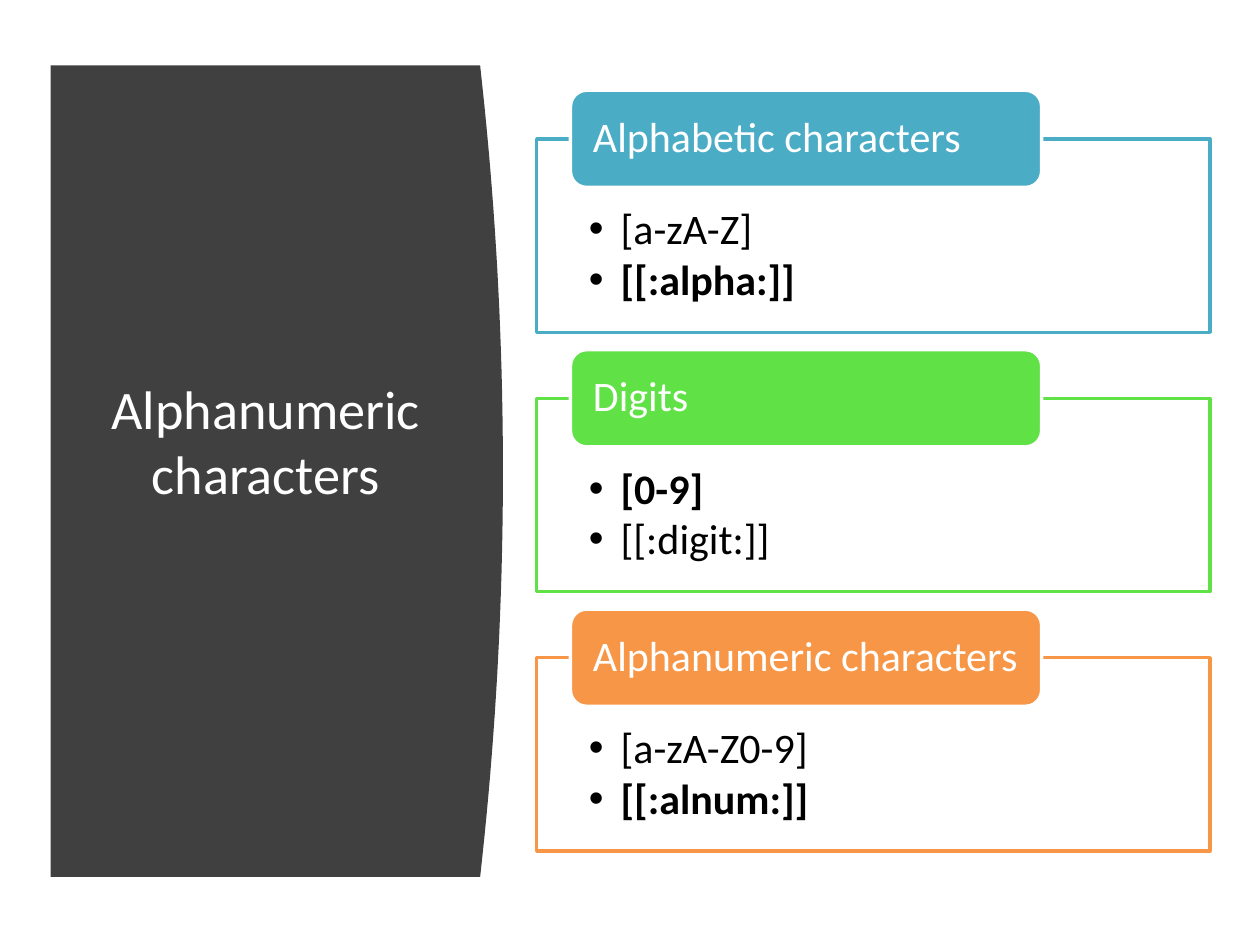
"""Build a slide listing character classes for letters, digits and both."""
import pptx
import pptx.dml.color
import pptx.enum.shapes
import pptx.enum.text
import pptx.oxml
import pptx.oxml.ns
import pptx.util
from pptx.util import Cm

COLORS = {
    "charcoal": "404040",
    "white": "FFFFFF",
    "black": "000000",
    "teal": "4BACC6",
    "green": "60E146",
    "orange": "F79646",
}


def paint(shape, fill, line=None):
    shape.shadow.inherit = False
    shape.fill.solid()
    shape.fill.fore_color.rgb = pptx.dml.color.RGBColor.from_string(COLORS[fill])
    if line is None:
        shape.line.fill.background()
    else:
        shape.line.color.rgb = pptx.dml.color.RGBColor.from_string(COLORS[line])
        shape.line.width = pptx.util.Pt(2)


def write(paragraph, text, size=24, color="white", bold=False, align="LEFT",
          bullet=False, line_spacing=0.9, space_after=0):
    paragraph.alignment = getattr(pptx.enum.text.PP_ALIGN, align)
    paragraph.line_spacing = line_spacing
    paragraph.space_after = pptx.util.Pt(space_after)
    if bullet:
        properties = paragraph._p.get_or_add_pPr()
        properties.set("marL", str(Cm(0.64)))
        properties.set("indent", str(-Cm(0.64)))
        namespace = pptx.oxml.ns.nsdecls("a")
        properties.append(pptx.oxml.parse_xml(f'<a:buFont {namespace} typeface="Arial"/>'))
        properties.append(pptx.oxml.parse_xml(f'<a:buChar {namespace} char="•"/>'))
    run = paragraph.add_run()
    run.text = text
    run.font.name = "Calibri"
    run.font.size = pptx.util.Pt(size)
    run.font.bold = bold
    run.font.color.rgb = pptx.dml.color.RGBColor.from_string(COLORS[color])


presentation = pptx.Presentation()
presentation.slide_width = Cm(25.4)
presentation.slide_height = Cm(19.05)
slide = presentation.slides.add_slide(presentation.slide_layouts[6])

left, edge, bulge = 1.02, 9.68, 0.46
middle, half_height, steps = 9.5, 8.18, 20
curve = []
for step in range(-steps, steps + 1):
    position = step / steps
    curve.append((Cm(edge + bulge * (1 - position ** 2)),
                  Cm(middle + half_height * position)))
builder = slide.shapes.build_freeform(Cm(left), Cm(middle - half_height))
builder.add_line_segments(curve + [(Cm(left), Cm(middle + half_height))], close=True)
paint(builder.convert_to_shape(), "charcoal")

title = slide.shapes.add_textbox(Cm(1.8), Cm(2.22), Cm(7.11), Cm(13.31))
title.text_frame.word_wrap = True
title.text_frame.vertical_anchor = pptx.enum.text.MSO_ANCHOR.MIDDLE
write(title.text_frame.paragraphs[0], "Alphanumeric characters",
      size=31, align="CENTER", line_spacing=1.0)

panels = [
    ("Alphabetic characters", "teal", [("[a-zA-Z]", False), ("[[:alpha:]]", True)]),
    ("Digits", "green", [("[0-9]", True), ("[[:digit:]]", False)]),
    ("Alphanumeric characters", "orange", [("[a-zA-Z0-9]", False), ("[[:alnum:]]", True)]),
]
first_top, pitch = 2.8, 5.23
for index, (heading, color, patterns) in enumerate(panels):
    top = first_top + index * pitch

    panel = slide.shapes.add_shape(
        pptx.enum.shapes.MSO_SHAPE.RECTANGLE, Cm(10.82), Cm(top), Cm(13.57), Cm(3.9))
    paint(panel, "white", color)
    frame = panel.text_frame
    frame.word_wrap = True
    frame.vertical_anchor = pptx.enum.text.MSO_ANCHOR.TOP
    frame.margin_left = frame.margin_right = Cm(1.05)
    frame.margin_top, frame.margin_bottom = Cm(1.4), Cm(0.48)
    for row, (pattern, bold) in enumerate(patterns):
        paragraph = frame.add_paragraph() if row else frame.paragraphs[0]
        write(paragraph, pattern, color="black", bold=bold, bullet=True, space_after=3)

    label = slide.shapes.add_shape(
        pptx.enum.shapes.MSO_SHAPE.ROUNDED_RECTANGLE,
        Cm(11.5), Cm(top - 0.98), Cm(9.5), Cm(1.96))
    paint(label, color, "white")
    frame = label.text_frame
    frame.word_wrap = True
    frame.vertical_anchor = pptx.enum.text.MSO_ANCHOR.MIDDLE
    frame.margin_left = frame.margin_right = Cm(0.36)
    frame.margin_top = frame.margin_bottom = 0
    write(frame.paragraphs[0], heading)

presentation.save("out.pptx")
